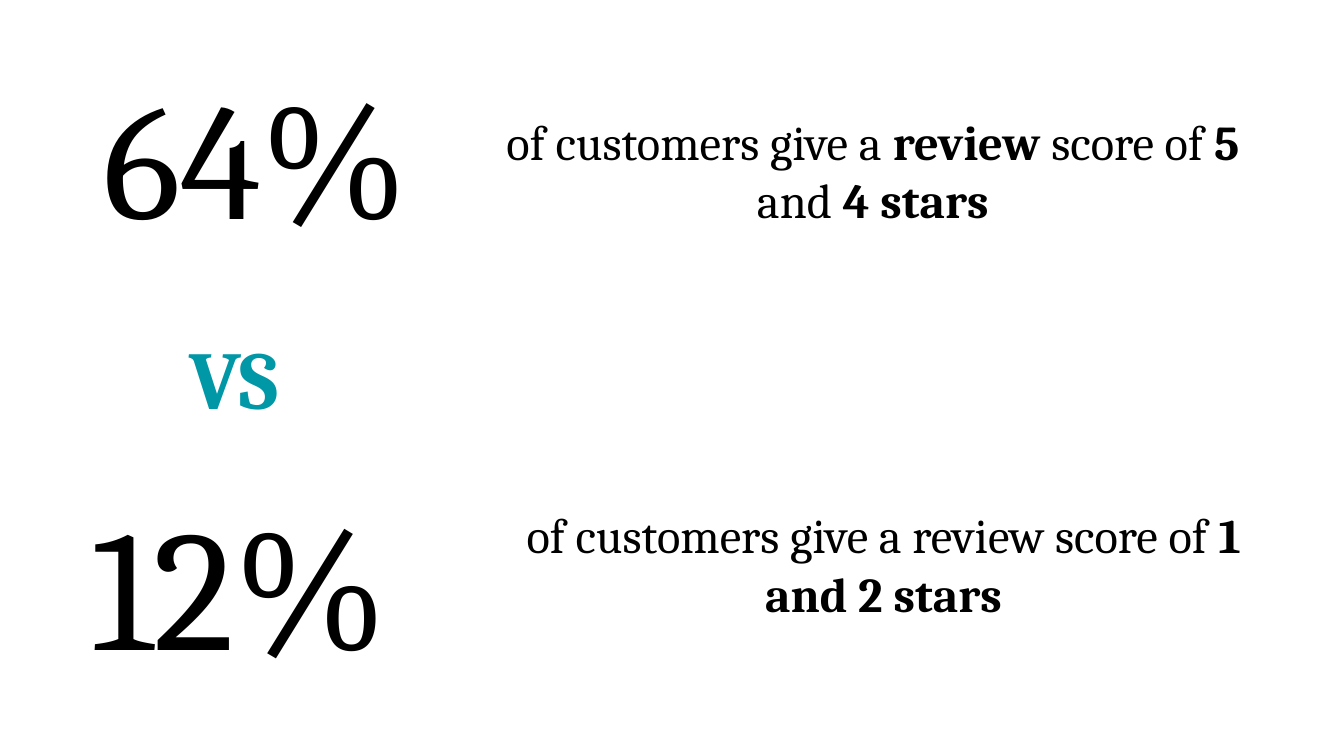
from dataclasses import dataclass

from pptx import Presentation
from pptx.dml.color import RGBColor
from pptx.enum.text import MSO_ANCHOR, MSO_AUTO_SIZE, PP_ALIGN
from pptx.util import Inches, Pt


@dataclass(frozen=True)
class Theme:
    """Hold the slide's font, colours and type sizes."""

    font: str = "Cambria"
    ink: str = "000000"
    accent: str = "0097A7"
    paper: str = "FFFFFF"
    title: int = 88
    figure: int = 92
    versus: int = 44
    caption: int = 26


THEME = Theme()
WIDTH = Inches(10)
HEIGHT = WIDTH * 9 // 16


def place(box, left, top, width, height):
    """Place a box by percentages of the slide's size."""
    box.left, box.width = (round(WIDTH * share / 100) for share in (left, width))
    box.top, box.height = (round(HEIGHT * share / 100) for share in (top, height))


def write(box, text, *, size, color=THEME.ink, bold=False, align=PP_ALIGN.LEFT):
    """Write one paragraph, switching the weight at each asterisk."""
    frame = box.text_frame
    frame.word_wrap = True
    frame.auto_size = MSO_AUTO_SIZE.NONE
    frame.vertical_anchor = MSO_ANCHOR.TOP
    frame.margin_left = frame.margin_right = Inches(0.1)
    frame.margin_top = frame.margin_bottom = Inches(0.1)
    para = frame.paragraphs[0]
    para.alignment = align
    para.line_spacing = 1.0
    for index, part in enumerate(text.split("*")):
        if part:
            span = para.add_run()
            span.text = part
            span.font.name = THEME.font
            span.font.size = Pt(size)
            span.font.bold = bold or index % 2 == 1
            span.font.color.rgb = RGBColor.from_string(color)


def add_text(page, area, text, **style):
    """Add a text box over an area of the page."""
    box = page.shapes.add_textbox(0, 0, 0, 0)
    place(box, *area)
    write(box, text, **style)
    return box


def add_caption(page, left, top, text):
    """Add a centred, thinly outlined caption beside a figure."""
    box = add_text(page, (left, top, 57.1, 33.07), text,
                   size=THEME.caption, align=PP_ALIGN.CENTER)
    box.line.color.rgb = RGBColor.from_string(THEME.paper)
    box.line.width = Pt(0.75)


def main():
    """Build and save the review score comparison."""
    deck = Presentation()
    deck.slide_width, deck.slide_height = WIDTH, HEIGHT
    page = deck.slides.add_slide(deck.slide_layouts[5])
    page.background.fill.solid()
    page.background.fill.fore_color.rgb = RGBColor.from_string(THEME.paper)

    place(page.shapes.title, 6.7, 5.51, 38, 51.56)
    write(page.shapes.title, "64%", size=THEME.title)
    add_text(page, (13.1, 41.48, 36.3, 49.42), "VS",
             size=THEME.versus, color=THEME.accent, bold=True)
    add_text(page, (5.8, 61.51, 36.3, 49.42), "12%", size=THEME.figure)
    add_caption(page, 36.4, 12.98,
                "of customers give a *review *score of *5 *and *4 stars*")
    add_caption(page, 37.2, 65.07,
                "of customers give a review score of *1 and 2 stars*")
    deck.save("out.pptx")


if __name__ == "__main__":
    main()
